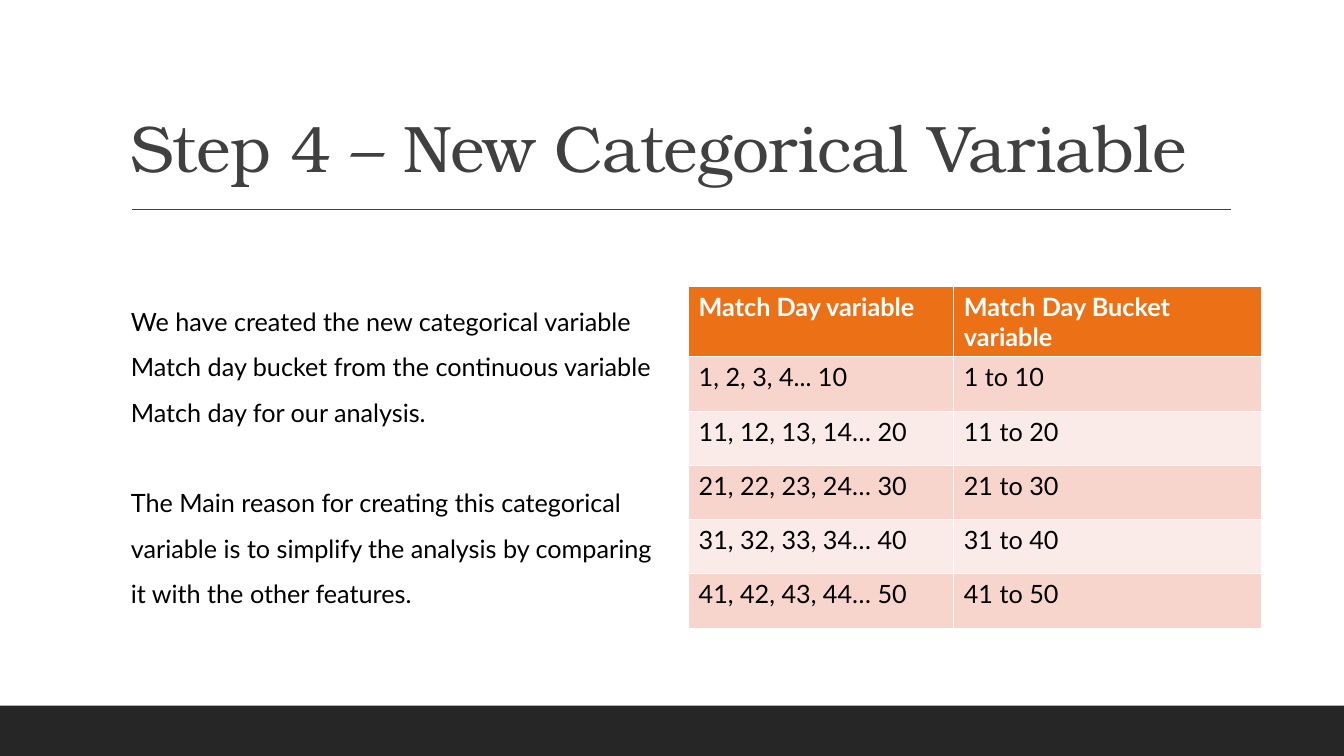
from lxml import etree
from pptx import Presentation
from pptx.dml.color import RGBColor
from pptx.enum.shapes import MSO_CONNECTOR, MSO_SHAPE
from pptx.enum.text import MSO_ANCHOR
from pptx.oxml.ns import qn
from pptx.util import Inches, Pt

RECT = MSO_SHAPE.RECTANGLE
LINE = MSO_CONNECTOR.STRAIGHT
BOTTOM = MSO_ANCHOR.BOTTOM
TOP = MSO_ANCHOR.TOP

BODY = {"name": "Lato", "size": Pt(18), "bold": False}
HEAD = {**BODY, "bold": True}
TITLE = {"name": "TeX Gyre Bonum", "size": Pt(47)}


def color(code):
    return RGBColor.from_string(code)


def write(par, text, style, code):
    run = par.add_run()
    run.text = text
    for key, value in style.items():
        setattr(run.font, key, value)
    run.font.color.rgb = color(code)
    return run


prs = Presentation()
prs.slide_width, prs.slide_height = Inches(13.33), Inches(7.5)
slide = prs.slides.add_slide(prs.slide_layouts[6])
shapes = slide.shapes

# Grid: left margin, and the shared top and height of both columns
left, top, high = Inches(1.2), Inches(2.84), Inches(3.23)

# Footer band: the last fifteenth of the slide
foot = prs.slide_height // 15
band = shapes.add_shape(RECT, 0, prs.slide_height - foot, prs.slide_width, foot)
band.shadow.inherit = False
band.fill.solid()
band.fill.fore_color.rgb = color("262626")
band.line.fill.background()

# Rule under the title
rule = shapes.add_connector(LINE, Inches(1.31), Inches(2.08), Inches(12.21), Inches(2.08))
rule.line.color.rgb = color("404040")
rule.line.width = Pt(1)
etree.SubElement(rule.element.spPr, qn("a:effectLst"))

# Text boxes for title and body
frames = []
for y, wide, tall, anchor in [
    (Inches(0.31), Inches(11), Inches(1.59), BOTTOM),
    (top, Inches(5.37), high, TOP),
]:
    frame = shapes.add_textbox(left, y, wide, tall).text_frame
    frame.word_wrap = True
    frame.vertical_anchor = anchor
    frames.append(frame)
title, body = frames

# Title
par = title.paragraphs[0]
par.line_spacing = 0.9
run = write(par, "Step 4 – New Categorical Variable", TITLE, "404040")
run.font._element.set("spc", "-50")

# Body, with one line of space between the paragraphs
first = body.paragraphs[0]
second = body.add_paragraph()
second.space_before = Pt(32.4)
for par, text in [
    (first, "We have created the new categorical variable Match day bucket "
            "from the continuous variable Match day for our analysis."),
    (second, "The Main reason for creating this categorical variable is to "
             "simplify the analysis by comparing it with the other features."),
]:
    par.line_spacing = 1.5
    write(par, text, BODY, "000000")

# Table of day buckets
rows = [
    ("Match Day variable", "Match Day Bucket variable"),
    ("1, 2, 3, 4... 10", "1 to 10"),
    ("11, 12, 13, 14… 20", "11 to 20"),
    ("21, 22, 23, 24… 30", "21 to 30"),
    ("31, 32, 33, 34… 40", "31 to 40"),
    ("41, 42, 43, 44… 50", "41 to 50"),
]
widths = [Inches(2.63), Inches(3.05)]
table = shapes.add_table(len(rows), 2, Inches(6.83), top, sum(widths), high).table
for col, wide in zip(table.columns, widths):
    col.width = wide
for r, row in enumerate(rows):
    if r == 0:
        fill, style, ink = "EC7016", HEAD, "FFFFFF"
    else:
        fill, style, ink = ("FBEBE8", "F8D5CC")[r % 2], BODY, "000000"
    for c, text in enumerate(row):
        cell = table.cell(r, c)
        cell.fill.solid()
        cell.fill.fore_color.rgb = color(fill)
        write(cell.text_frame.paragraphs[0], text, style, ink)

prs.save("out.pptx")
